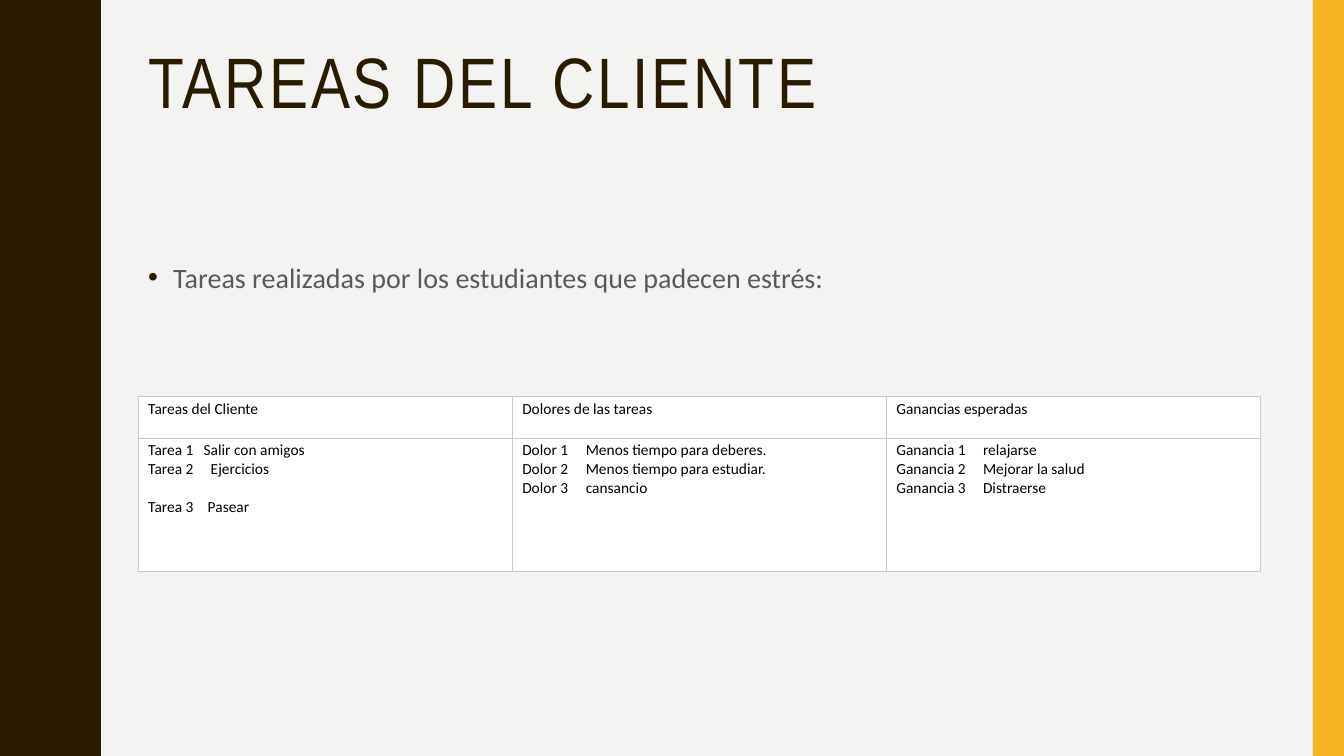
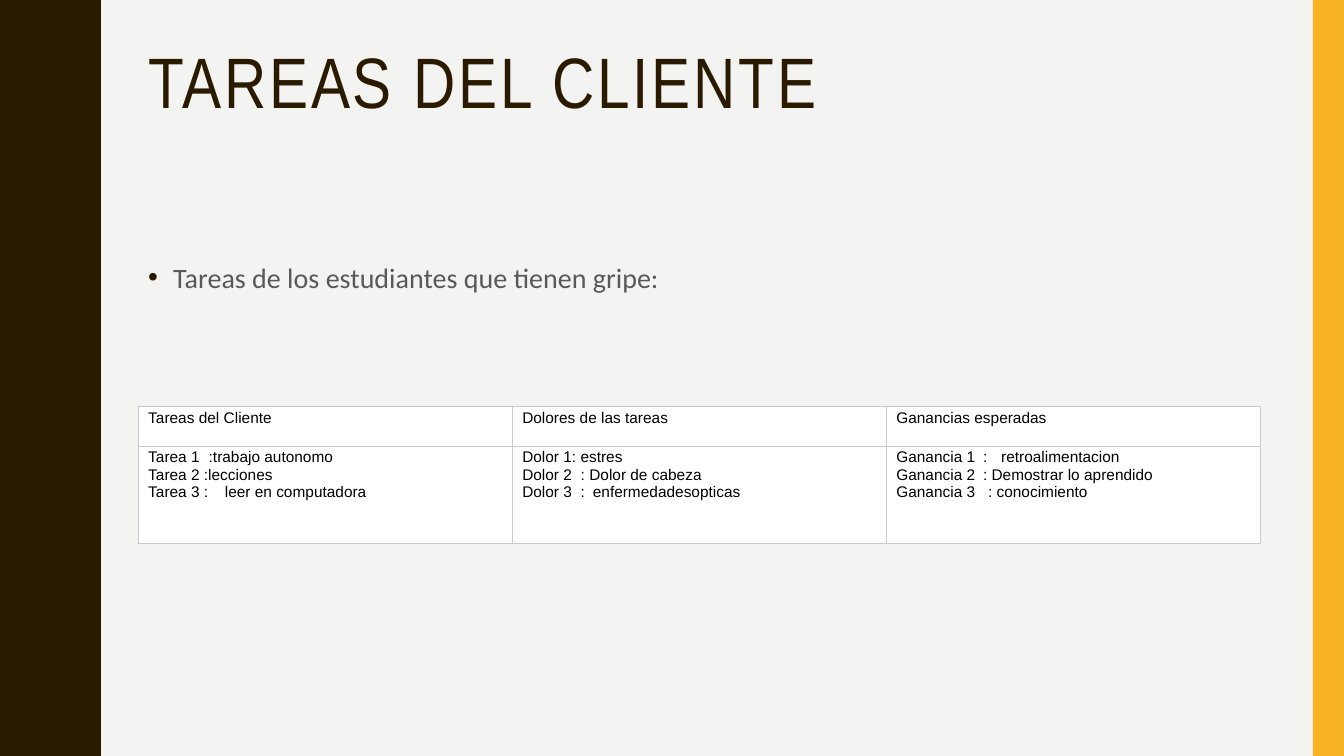
from dataclasses import dataclass

from lxml import etree
from pptx import Presentation, util as u
from pptx.dml.color import RGBColor
from pptx.enum import shapes, text as t
from pptx.oxml import ns


@dataclass(frozen=True)
class Theme:
    paper: str = "F3F3F2"
    dark: str = "2A1A00"
    gold: str = "F8B323"
    gray: str = "595959"
    black: str = "000000"
    white: str = "FFFFFF"
    rule: str = "C8CACC"
    head: str = "Arial Narrow"
    body: str = "Calibri"
    plain: str = "Arial"
    big: int = 51
    mid: int = 20
    small: int = 11


THEME = Theme()
WIDE, HIGH = u.Inches(13.33), u.Inches(7.5)
LEFT, COL, ROW = u.Inches(1.37), u.Inches(3.71), HIGH / 18
COLS = 3
BAND = u.Inches(0.31)
WAVES = 5
HALF = [(0.78, 0), (0.78, 0.07), (0.79, 0.14), (0.8, 0.2), (0.81, 0.25),
        (0.83, 0.29), (0.85, 0.33), (0.87, 0.38), (0.89, 0.42),
        (0.91, 0.46), (0.93, 0.5), (0.95, 0.55), (0.96, 0.61),
        (0.97, 0.68), (0.97, 0.75)]

TITLE = "TAREAS DEL CLIENTE"
HEADS = [["Tareas del Cliente"], ["Dolores de las tareas"],
         ["Ganancias esperadas"]]
STRESS = [
    [("Tarea 1\tSalir con amigos", 0.55),
     ("Tarea 2\tEjercicios", 0.62),
     ("Tarea 3\tPasear", 0.59)],
    [("Dolor 1\tMenos tiempo para deberes.", 0.63),
     ("Dolor 2\tMenos tiempo para estudiar.", 0.63),
     ("Dolor 3\tcansancio", 0.63)],
    [("Ganancia 1\trelajarse", 0.86),
     ("Ganancia 2\tMejorar la salud", 0.86),
     ("Ganancia 3\tDistraerse", 0.86)],
]
FLU = [
    [("Tarea 1\t:trabajo autonomo", 0.6),
     "Tarea 2 :lecciones",
     ("Tarea 3 :\tleer en computadora", 0.76)],
    ["Dolor 1: estres",
     ("Dolor 2\t: Dolor de cabeza", 0.58),
     ("Dolor 3\t:\tenfermedadesopticas", 0.58, 0.7)],
    [("Ganancia 1\t:\tretroalimentacion", 0.86, 1.04),
     ("Ganancia 2\t: Demostrar lo aprendido", 0.86),
     ("Ganancia 3\t: conocimiento", 0.91)],
]


def rows(count):
    return u.Emu(round(count * ROW))


def paint(fill, color):
    fill.solid()
    fill.fore_color.rgb = RGBColor.from_string(color)


def node(parent, tag, **attrs):
    item = etree.SubElement(parent, ns.qn("a:" + tag))
    for name, value in attrs.items():
        item.set(name, str(value))
    return item


def write(par, words, font, size, color, line=None, before=None,
          track=None, bullet=None, stops=()):
    props = par._p.get_or_add_pPr()
    if bullet:
        props.set("marL", str(u.Inches(0.25)))
        props.set("indent", str(-u.Inches(0.25)))
        node(node(props, "buClr"), "srgbClr", val=bullet)
        node(props, "buFont", typeface=THEME.plain)
        node(props, "buChar", char="•")
    if stops:
        tabs = node(props, "tabLst")
        for stop in stops:
            node(tabs, "tab", pos=u.Inches(stop), algn="l")
    par.alignment = t.PP_ALIGN.LEFT
    if line:
        par.line_spacing = line
    if before:
        par.space_before = u.Pt(before)
    run = par.add_run()
    run.text = words
    run.font.name, run.font.size = font, u.Pt(size)
    run.font.color.rgb = RGBColor.from_string(color)
    if track:
        run.font._element.set("spc", str(track * 100))


def place(shape, top, high):
    shape.left, shape.top = LEFT, rows(top)
    shape.width, shape.height = COL * COLS, rows(high)
    frame = shape.text_frame
    frame.word_wrap = True
    frame.auto_size = t.MSO_AUTO_SIZE.NONE
    frame.vertical_anchor = t.MSO_ANCHOR.TOP
    return frame.paragraphs[0]


def wave(slide):
    period = 2 * HALF[-1][1]
    cycle = HALF + [(x, period - y) for x, y in HALF[-2::-1]]
    edge = [(x, y + turn * period) for turn in range(WAVES)
            for x, y in cycle]
    path = slide.shapes.build_freeform(0, 0, scale=u.Inches(1))
    path.add_line_segments(edge + [(0, WAVES * period)], close=True)
    return path.convert_to_shape()


def frame(slide, layout):
    band = slide.shapes.add_shape(
        shapes.MSO_SHAPE.RECTANGLE, WIDE - BAND, 0, BAND, HIGH)
    for shape, color in ((band, THEME.gold), (wave(slide), THEME.dark)):
        shape.shadow.inherit = False
        paint(shape.fill, color)
        shape.line.fill.background()
        layout.shapes.element.insert(2, shape.element)


def border(cell):
    props = cell._tc.get_or_add_tcPr()
    for side in ("lnL", "lnR", "lnT", "lnB"):
        line = node(props, side, w=u.Pt(0.75))
        node(node(line, "solidFill"), "srgbClr", val=THEME.rule)


def fill(cell, lines, font, gaps):
    cell.margin_left = cell.margin_right = u.Inches(0.1)
    cell.margin_top = cell.margin_bottom = u.Inches(0.03)
    border(cell)
    paint(cell.fill, THEME.white)
    for index, item in enumerate(lines):
        words, *stops = (item,) if isinstance(item, str) else item
        body = cell.text_frame
        par = body.add_paragraph() if index else body.paragraphs[0]
        write(par, words, font, THEME.small, THEME.black, stops=stops,
              before=gaps.get(words))


def grid(slide, data, font, top, highs, gaps):
    table = slide.shapes.add_table(
        2, COLS, LEFT, rows(top), COL * COLS, rows(sum(highs))).table
    table.first_row = table.horz_banding = False
    for column in table.columns:
        column.width = COL
    for r, (high, cells) in enumerate(zip(highs, (HEADS, data))):
        table.rows[r].height = rows(high)
        for c, lines in enumerate(cells):
            fill(table.cell(r, c), lines, font, gaps)


def page(deck, layout, lead, data, font, top, highs, gaps):
    slide = deck.slides.add_slide(layout)
    write(place(slide.shapes.title, 1, 3.9), TITLE, THEME.head,
          THEME.big, THEME.dark, line=0.9, track=2)
    box = slide.shapes.add_textbox(0, 0, 0, 0)
    write(place(box, 6, 9.43), lead, THEME.body, THEME.mid, THEME.gray,
          line=1.1, bullet=THEME.dark)
    grid(slide, data, font, top, highs, gaps)
    return slide


def main():
    deck = Presentation()
    deck.slide_width, deck.slide_height = WIDE, HIGH
    paint(deck.slide_master.background.fill, THEME.paper)
    layout = deck.slide_layouts.get_by_name("Title Only")
    first = page(deck, layout,
                 "Tareas realizadas por los estudiantes que padecen estrés:",
                 STRESS, THEME.body, 9.45, (0.98, 3.17),
                 {"Tarea 3\tPasear": 13.4})
    frame(first, layout)
    page(deck, layout, "Tareas de los estudiantes que tienen gripe:",
         FLU, THEME.plain, 9.68, (0.94, 2.33), {})
    deck.save("out.pptx")


if __name__ == "__main__":
    main()
